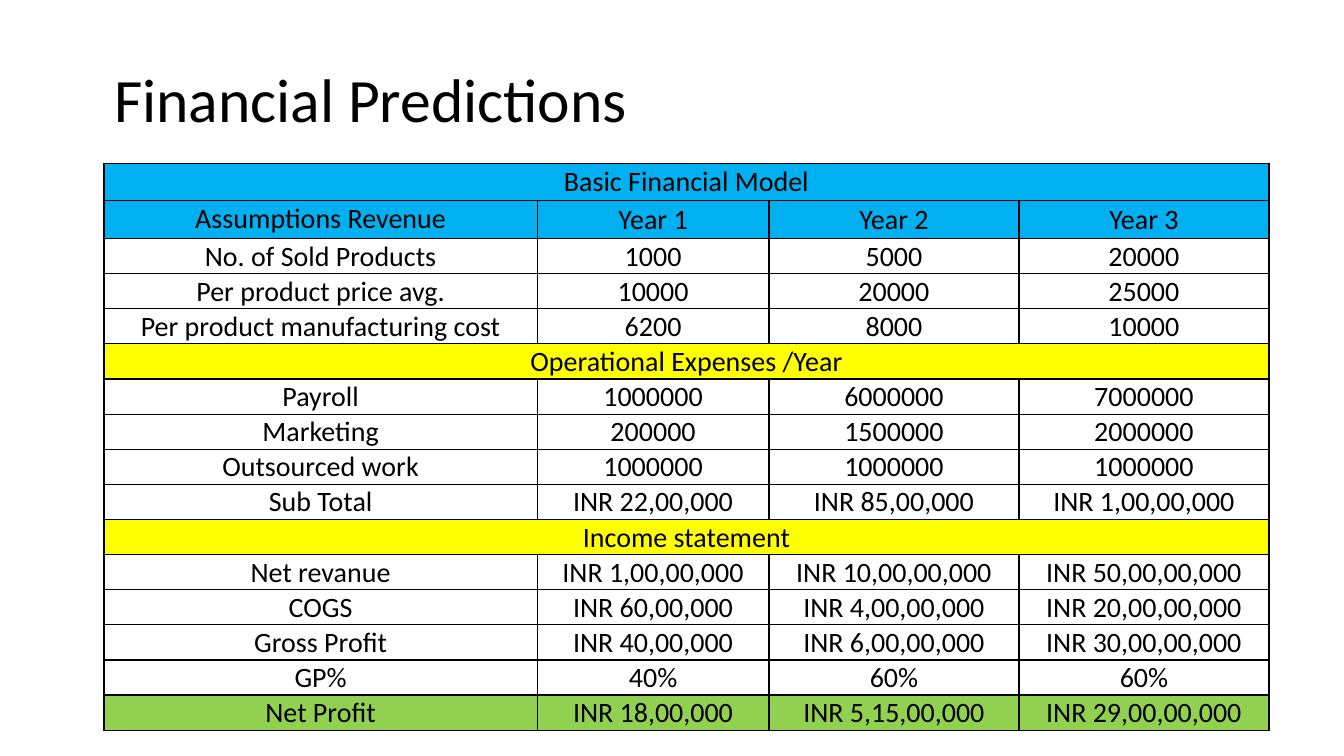
from dataclasses import dataclass

from lxml import etree
from pptx import Presentation
from pptx import util as u
from pptx.dml.color import RGBColor
from pptx.enum import text
from pptx.oxml import ns


@dataclass(frozen=True)
class Theme:
    font: str = "Calibri"
    title_size: int = 44
    table_size: int = 20
    ink: str = "000000"
    plain: str = "FFFFFF"
    heading: str = "00B0F0"
    section: str = "FFFF00"
    result: str = "92D050"
    border_width: int = 1


THEME = Theme()
TOP, MIDDLE, BOTTOM = (text.MSO_ANCHOR.TOP, text.MSO_ANCHOR.MIDDLE,
                       text.MSO_ANCHOR.BOTTOM)

# Each row holds its texts; a single text spans the whole table
ROWS = [
    ["Basic Financial Model"],
    ["Assumptions Revenue", "Year 1", "Year 2", "Year 3"],
    ["No. of Sold Products", "1000", "5000", "20000"],
    ["Per product price avg.", "10000", "20000", "25000"],
    ["Per product manufacturing cost", "6200", "8000", "10000"],
    ["Operational Expenses /Year"],
    ["Payroll", "1000000", "6000000", "7000000"],
    ["Marketing", "200000", "1500000", "2000000"],
    ["Outsourced work", "1000000", "1000000", "1000000"],
    ["Sub Total", "INR 22,00,000", "INR 85,00,000", "INR 1,00,00,000"],
    ["Income statement"],
    ["Net revanue", "INR 1,00,00,000", "INR 10,00,00,000", "INR 50,00,00,000"],
    ["COGS", "INR 60,00,000", "INR 4,00,00,000", "INR 20,00,00,000"],
    ["Gross Profit", "INR 40,00,000", "INR 6,00,00,000", "INR 30,00,00,000"],
    ["GP%", "40%", "60%", "60%"],
    ["Net Profit", "INR 18,00,000", "INR 5,15,00,000", "INR 29,00,00,000"],
]
HEADING_ROWS = 2
COLUMN_WIDTHS = [10.92, 5.84, 6.3, 6.3]
HEADING_HEIGHT, ROW_HEIGHT = 0.95, 0.81


def format_paragraph(para, size, align):
    para.alignment = align
    para.font.name = THEME.font
    para.font.size = u.Pt(size)
    para.font.color.rgb = RGBColor.from_string(THEME.ink)


def add_title(page, wording):
    title = page.shapes.title
    title.left, title.top = u.Cm(2.62), u.Cm(0.99)
    title.width, title.height = u.Cm(17.35), u.Cm(3.18)
    frame = title.text_frame
    frame.text = wording
    frame.vertical_anchor = MIDDLE
    para = frame.paragraphs[0]
    para.line_spacing = 0.9
    format_paragraph(para, THEME.title_size, text.PP_ALIGN.LEFT)


def add_borders(cell):
    properties = cell._tc.get_or_add_tcPr()
    # Border lines must come before the fill
    for position, side in enumerate(("lnL", "lnR", "lnT", "lnB")):
        line = etree.Element(ns.qn(f"a:{side}"), w=str(u.Pt(THEME.border_width)))
        fill = etree.SubElement(line, ns.qn("a:solidFill"))
        etree.SubElement(fill, ns.qn("a:srgbClr"), val=THEME.ink)
        properties.insert(position, line)


def format_cell(cell, color, anchor):
    cell.fill.solid()
    cell.fill.fore_color.rgb = RGBColor.from_string(color)
    cell.vertical_anchor = anchor
    cell.margin_left = cell.margin_right = cell.margin_top = u.Cm(0.02)
    cell.margin_bottom = 0
    format_paragraph(cell.text_frame.paragraphs[0], THEME.table_size,
                     text.PP_ALIGN.CENTER)
    add_borders(cell)


def row_color(index):
    if index < HEADING_ROWS:
        return THEME.heading
    if len(ROWS[index]) == 1:
        return THEME.section
    return THEME.result if index == len(ROWS) - 1 else THEME.plain


def cell_anchor(row, column):
    if row >= HEADING_ROWS:
        return BOTTOM
    return TOP if (row, column) == (1, 0) else MIDDLE


def add_financial_table(page):
    heights = [HEADING_HEIGHT if index < HEADING_ROWS else ROW_HEIGHT
               for index in range(len(ROWS))]
    table = page.shapes.add_table(
        len(ROWS), len(COLUMN_WIDTHS), u.Cm(2.62), u.Cm(4.11),
        u.Cm(sum(COLUMN_WIDTHS)), u.Cm(sum(heights))).table
    table.first_row = table.horz_banding = False
    for column, width in zip(table.columns, COLUMN_WIDTHS):
        column.width = u.Cm(width)
    for index, (texts, height) in enumerate(zip(ROWS, heights)):
        row = table.rows[index]
        row.height = u.Cm(height)
        for column, wording in enumerate(texts):
            row.cells[column].text = wording
        for column, cell in enumerate(row.cells):
            format_cell(cell, row_color(index), cell_anchor(index, column))
        if len(texts) == 1:
            table.cell(index, 0).merge(table.cell(index, len(COLUMN_WIDTHS) - 1))


def main():
    deck = Presentation()
    deck.slide_width, deck.slide_height = u.Cm(33.87), u.Cm(19.05)
    page = deck.slides.add_slide(deck.slide_layouts.get_by_name("Title Only"))
    add_title(page, "Financial Predictions")
    add_financial_table(page)
    deck.save("out.pptx")


if __name__ == "__main__":
    main()
